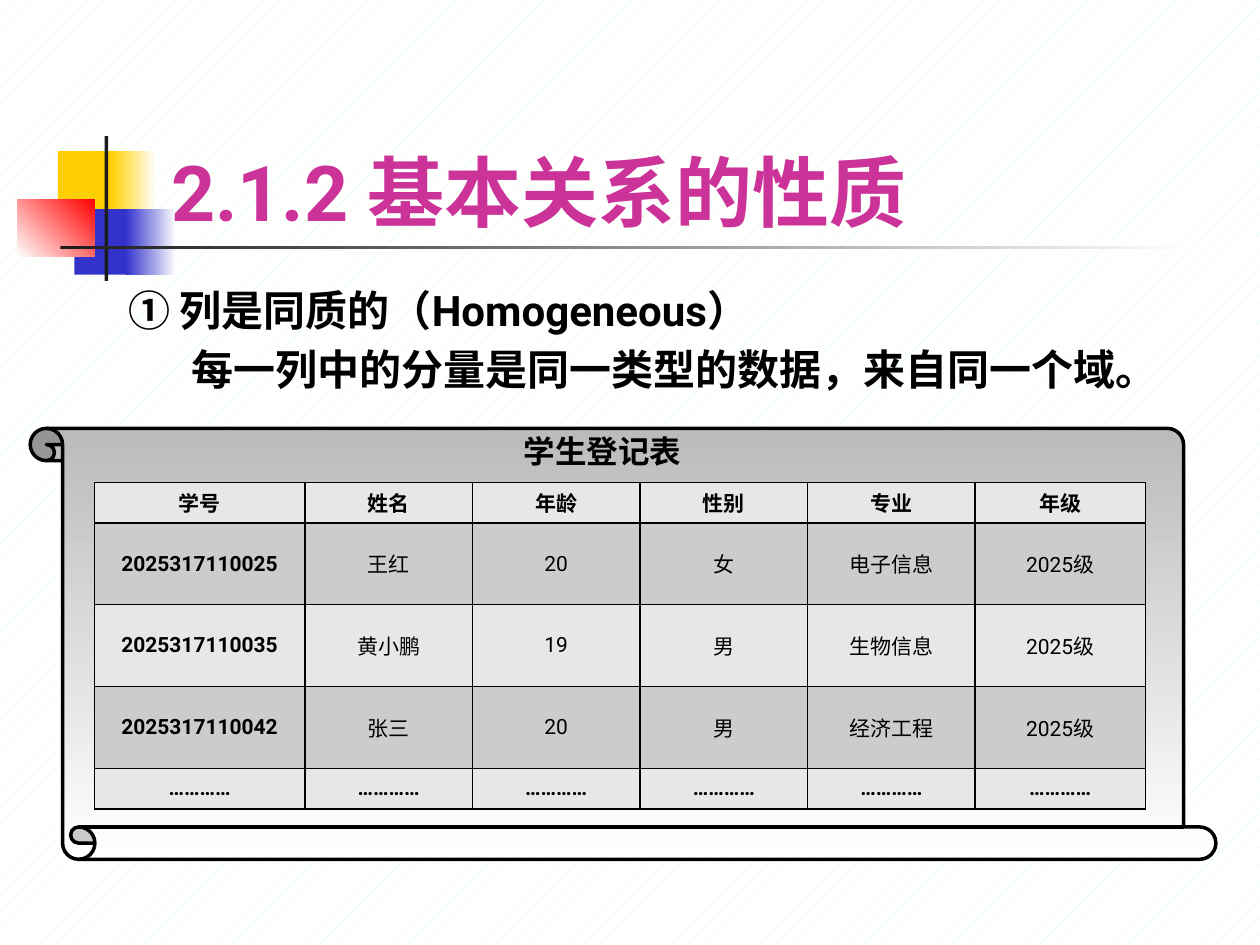
from dataclasses import dataclass
from typing import Optional

from lxml.etree import SubElement
from pptx import Presentation
from pptx.dml.color import RGBColor
from pptx.dml.fill import FillFormat
from pptx.enum.dml import MSO_PATTERN
from pptx.enum.shapes import MSO_SHAPE
from pptx.enum.text import MSO_ANCHOR, PP_ALIGN
from pptx.oxml import parse_xml
from pptx.oxml.ns import nsdecls, qn
from pptx.slide import Slide
from pptx.table import _Cell
from pptx.text.text import TextFrame, _Paragraph
from pptx.util import Inches, Pt

BLACK = RGBColor(0x00, 0x00, 0x00)
WHITE = RGBColor(0xFF, 0xFF, 0xFF)
PALE_GREEN = RGBColor(0xCC, 0xFF, 0xCC)
YELLOW = RGBColor(0xFF, 0xCF, 0x01)
BLUE = RGBColor(0x33, 0x33, 0xCC)
RED = RGBColor(0xFF, 0x00, 0x00)
CHARCOAL = RGBColor(0x1C, 0x1C, 0x1C)
MAGENTA = RGBColor(0xCC, 0x33, 0x99)
SCROLL_GREY = RGBColor(0xBB, 0xBB, 0xBB)
LIGHT_ROW = RGBColor(0xE7, 0xE7, 0xE7)
DARK_ROW = RGBColor(0xCC, 0xCC, 0xCC)
LATIN_FONT = "Roboto"
CHINESE_FONT = "Noto Sans CJK SC"


@dataclass(frozen=True)
class Block:
    left: float
    top: float
    width: float
    height: float
    start: RGBColor
    end: Optional[RGBColor] = None
    angle: int = 0


BLOCKS = [
    Block(0.46, 1.2, 0.48, 0.52, YELLOW),
    Block(0.88, 1.2, 0.36, 0.52, YELLOW, WHITE),
    Block(0.59, 1.66, 0.46, 0.52, BLUE),
    Block(1, 1.66, 0.4, 0.52, BLUE, WHITE),
    Block(0.14, 1.58, 0.61, 0.46, WHITE, RED, 45),
    Block(0.83, 1.08, 0.03, 1.15, CHARCOAL),
    Block(0.48, 1.95, 9, 0.03, CHARCOAL, WHITE),
]

COLUMN_WIDTHS = [1.67, 1.33, 1.33, 1.33, 1.33, 1.35]
ROW_HEIGHTS = [0.32, 0.65, 0.65, 0.65, 0.32]
STUDENTS = [
    ["学号", "姓名", "年龄", "性别", "专业", "年级"],
    ["2025317110025", "王红", "20", "女", "电子信息", "2025级"],
    ["2025317110035", "黄小鹏", "19", "男", "生物信息", "2025级"],
    ["2025317110042", "张三", "20", "男", "经济工程", "2025级"],
    ["…………"] * 6,
]


def set_gradient(fill: FillFormat, start: RGBColor, end: RGBColor, angle: int) -> None:
    """Fill with a two-colour gradient at a counter-clockwise angle."""
    fill.gradient()
    fill.gradient_angle = angle
    for stop, color, position in zip(fill.gradient_stops, (start, end), (0, 1)):
        stop.color.rgb = color
        stop.position = position


def style_paragraph(para: _Paragraph, size: float, color: RGBColor = BLACK,
                    bold: bool = True, name: str = LATIN_FONT) -> None:
    """Format every run of a paragraph."""
    for span in para.runs:
        font = span.font
        font.size, font.bold, font.name = Pt(size), bold, name
        font.color.rgb = color
        SubElement(font._element, qn("a:ea"), typeface=CHINESE_FONT)


def add_text(page: Slide, left: float, top: float, width: float, height: float,
             text: str, anchor: MSO_ANCHOR = MSO_ANCHOR.TOP) -> TextFrame:
    """Add a wrapping text box and return its frame."""
    frame = page.shapes.add_textbox(
        Inches(left), Inches(top), Inches(width), Inches(height)).text_frame
    frame.word_wrap = True
    frame.vertical_anchor = anchor
    frame.text = text
    return frame


def draw_block(page: Slide, block: Block) -> None:
    """Draw one borderless block of the title ornament."""
    shape = page.shapes.add_shape(
        MSO_SHAPE.RECTANGLE, Inches(block.left), Inches(block.top),
        Inches(block.width), Inches(block.height))
    shape.shadow.inherit = False
    shape.line.fill.background()
    if block.end is None:
        shape.fill.solid()
        shape.fill.fore_color.rgb = block.start
    else:
        set_gradient(shape.fill, block.start, block.end, block.angle)


def draw_scroll(page: Slide) -> None:
    """Draw the upside-down scroll behind the table."""
    scroll = page.shapes.add_shape(
        MSO_SHAPE.VERTICAL_SCROLL, Inches(0.24), Inches(3.4), Inches(9.41), Inches(3.42))
    scroll.adjustments[0] = 0.075
    scroll.shadow.inherit = False
    scroll._element.spPr.find(qn("a:xfrm")).set("flipV", "1")
    set_gradient(scroll.fill, WHITE, SCROLL_GREY, 270)
    scroll.line.color.rgb = BLACK
    scroll.line.width = Pt(2)


def fill_cell(cell: _Cell, text: str, shade: RGBColor, bold: bool) -> None:
    """Write, shade and border one table cell."""
    cell.text_frame.text = text
    cell.vertical_anchor = MSO_ANCHOR.MIDDLE
    cell.margin_left = cell.margin_right = Inches(0.07)
    cell.margin_top = cell.margin_bottom = 0
    para = cell.text_frame.paragraphs[0]
    para.alignment = PP_ALIGN.CENTER
    style_paragraph(para, 12, bold=bold)
    cell.fill.solid()
    cell.fill.fore_color.rgb = shade
    properties = cell._tc.get_or_add_tcPr()
    for index, side in enumerate("LRTB"):
        properties.insert(index, parse_xml(
            f'<a:ln{side} {nsdecls("a")} w="{Pt(1)}"><a:solidFill>'
            f'<a:srgbClr val="{BLACK}"/></a:solidFill></a:ln{side}>'))


def draw_table(page: Slide) -> None:
    """Draw the student register."""
    table = page.shapes.add_table(
        len(ROW_HEIGHTS), len(COLUMN_WIDTHS), Inches(0.75), Inches(3.83),
        Inches(sum(COLUMN_WIDTHS)), Inches(sum(ROW_HEIGHTS))).table
    for column, width in zip(table.columns, COLUMN_WIDTHS):
        column.width = Inches(width)
    last = len(STUDENTS) - 1
    for row_index, (values, height) in enumerate(zip(STUDENTS, ROW_HEIGHTS)):
        table.rows[row_index].height = Inches(height)
        shade = DARK_ROW if row_index % 2 else LIGHT_ROW
        for column_index, value in enumerate(values):
            bold = row_index in (0, last) or column_index == 0
            fill_cell(table.cell(row_index, column_index), value, shade, bold)


def main() -> None:
    """Build the slide and save it."""
    deck = Presentation()
    deck.slide_width, deck.slide_height = Inches(10), Inches(7.5)
    page = deck.slides.add_slide(deck.slide_layouts[6])
    backdrop = page.background.fill
    backdrop.patterned()
    backdrop.pattern = MSO_PATTERN.PERCENT_5
    backdrop.fore_color.rgb = PALE_GREEN
    backdrop.back_color.rgb = WHITE

    for block in BLOCKS:
        draw_block(page, block)

    title = add_text(page, 1.26, 0.68, 8.52, 1.25, "2.1.2 基本关系的性质", MSO_ANCHOR.BOTTOM)
    style_paragraph(title.paragraphs[0], 44, MAGENTA)

    body = add_text(page, 0.92, 2.21, 8.5, 4.5, "① 列是同质的（Homogeneous）")
    detail = body.add_paragraph()
    detail.text = "每一列中的分量是同一类型的数据，来自同一个域。"
    detail.space_before = Pt(4.8)
    for para, margin, indent in zip(body.paragraphs, (0.38, 0.81), (-0.38, -0.31)):
        layout = para._p.get_or_add_pPr()
        layout.set("marL", str(Inches(margin)))
        layout.set("indent", str(Inches(indent)))
        style_paragraph(para, 24)

    draw_scroll(page)
    caption = add_text(page, 4.06, 3.38, 2.13, 0.71, "学生登记表")
    style_paragraph(caption.paragraphs[0], 18, name=CHINESE_FONT)
    draw_table(page)
    deck.save("out.pptx")


if __name__ == "__main__":
    main()
